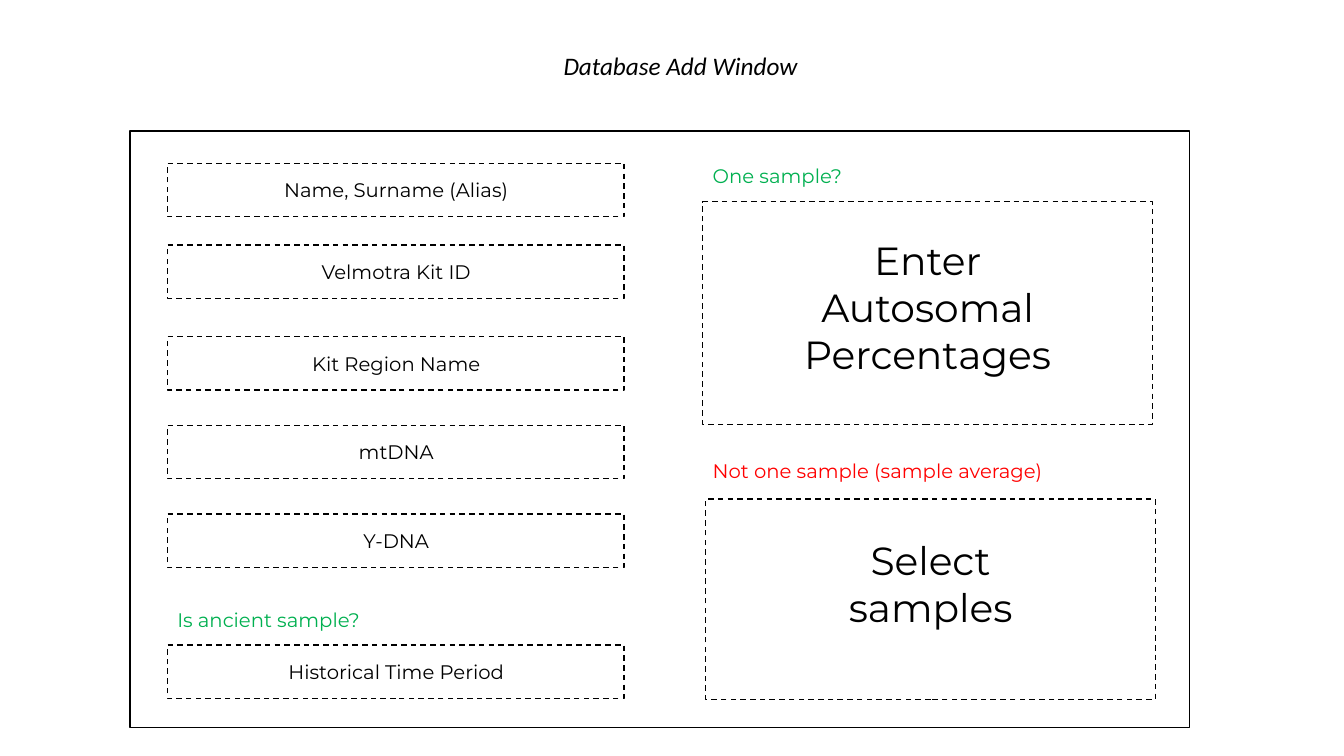
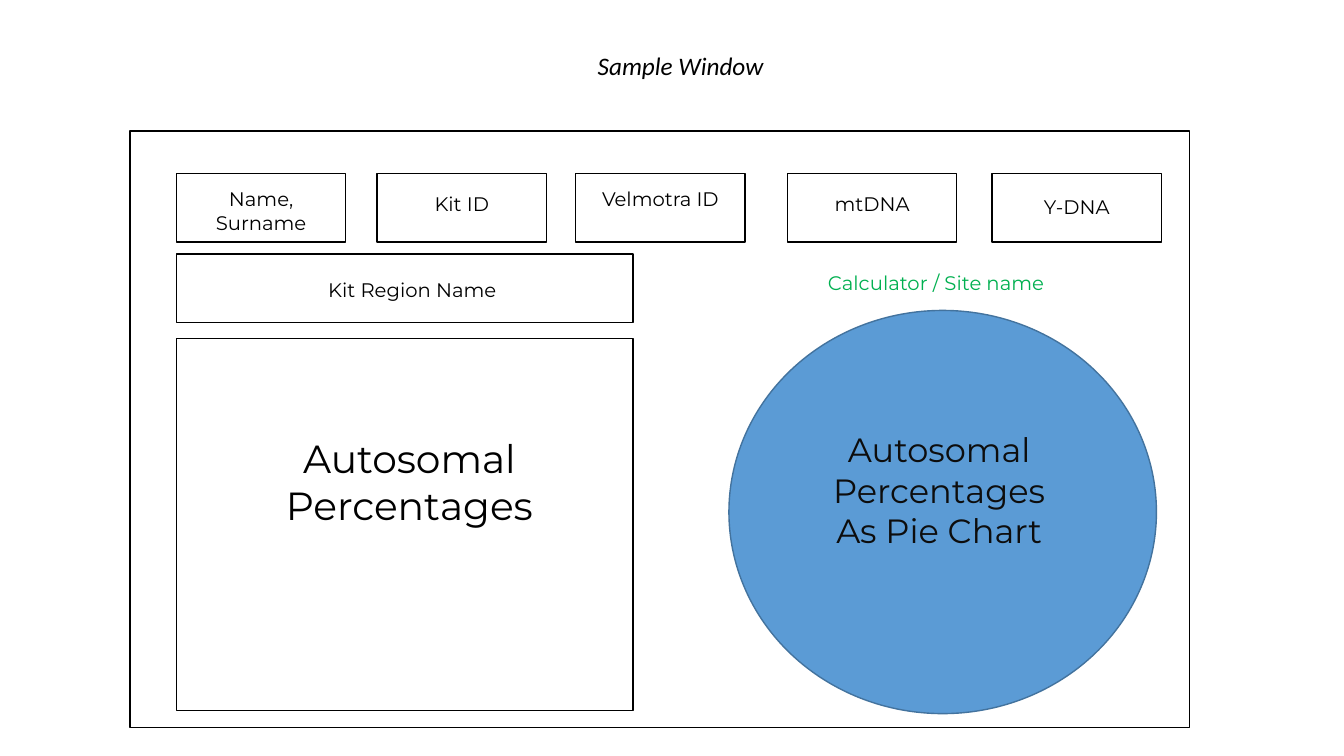
from pptx import Presentation, util as u
from pptx.dml.color import RGBColor
from pptx.enum import dml, shapes, text

BLACK = RGBColor(0x00, 0x00, 0x00)
WHITE = RGBColor(0xFF, 0xFF, 0xFF)
INK = RGBColor(0x0D, 0x0D, 0x0D)
GREEN = RGBColor(0x00, 0xB0, 0x50)
RED = RGBColor(0xFF, 0x00, 0x00)
BLUE = RGBColor(0x5B, 0x9B, 0xD5)
BLUE_EDGE = RGBColor(0x43, 0x73, 0x9E)

WIDTH, HEIGHT = 13.33, 7.5
LEFT, CENTER = text.PP_ALIGN.LEFT, text.PP_ALIGN.CENTER

# Text styles: font values and alignment
TITLE = dict(name="Calibri", size=u.Pt(18), italic=True), CENTER
LABEL = dict(name="Montserrat", size=u.Pt(14)), CENTER
PROMPT = dict(name="Montserrat", size=u.Pt(14)), LEFT
HEADING = dict(name="Montserrat", size=u.Pt(28)), CENTER
CHART_HEADING = dict(name="Montserrat", size=u.Pt(24)), CENTER

# Content of the add window: entry fields with their tops
ENTRY_LEFT, ENTRY_SIZE = 1.66, (4.53, 0.53)
ENTRIES = [
    ("Name, Surname (Alias)", 1.62),
    ("Velmotra Kit ID", 2.43),
    ("Kit Region Name", 3.34),
    ("mtDNA", 4.22),
    ("Y-DNA", 5.1),
    ("Historical Time Period", 6.4),
]
# Prompt, colour, left, top, width
PROMPTS = [
    ("Is ancient sample?", GREEN, ENTRY_LEFT, 5.98, 2.55),
    ("One sample?", GREEN, 6.97, 1.58, 2.55),
    ("Not one sample (sample average)", RED, 6.97, 4.5, 3.88),
]
# Heading, panel box, top and height of the heading
PANELS = [
    ("Enter Autosomal Percentages", (6.97, 2, 4.46, 2.21), 2.29, 1.51),
    ("Select samples", (7, 4.95, 4.46, 1.99), 5.27, 1.04),
]

# Content of the sample window: label, cell left, label top and height
CELL_TOP, CELL_SIZE = 1.72, (1.68, 0.68)
CELLS = [
    ("Name, Surname", 1.75, 1.81, 0.57),
    ("Kit ID", 3.74, 1.86, 0.34),
    ("Velmotra ID", 5.71, 1.81, 0.57),
    ("mtDNA", 7.81, 1.86, 0.34),
    ("Y-DNA", 9.84, 1.88, 0.34),
]
CELL_LABEL_WIDTH = 1.55
REGION = "Kit Region Name"
PERCENTAGES = "Autosomal Percentages"
PIE = ["Autosomal Percentages", "As Pie Chart"]
SITE = "Calculator / Site name "


def outline(slide, box, kind=shapes.MSO_SHAPE.RECTANGLE, fill=WHITE,
            edge=BLACK, dashed=False):
    frame = slide.shapes.add_shape(kind, *map(u.Inches, box))
    frame.shadow.inherit = False
    frame.fill.solid()
    frame.fill.fore_color.rgb = fill
    frame.line.color.rgb = edge
    frame.line.width = u.Pt(1)
    if dashed:
        frame.line.dash_style = dml.MSO_LINE.DASH


def write(slide, lines, box, style, color=BLACK):
    values, alignment = style
    body = slide.shapes.add_textbox(*map(u.Inches, box)).text_frame
    body.word_wrap = True
    body.auto_size = text.MSO_AUTO_SIZE.SHAPE_TO_FIT_TEXT
    for i, line in enumerate(lines):
        paragraph = body.add_paragraph() if i else body.paragraphs[0]
        paragraph.alignment = alignment
        run = paragraph.add_run()
        run.text = line
        for key, value in values.items():
            setattr(run.font, key, value)
        run.font.color.rgb = color


deck = Presentation()
deck.slide_width, deck.slide_height = u.Inches(WIDTH), u.Inches(HEIGHT)


def window(title):
    """A slide with its title above the window frame."""
    slide = deck.slides.add_slide(deck.slide_layouts[6])
    write(slide, [title], (4.44, 0.45, 4.62, 0.4), TITLE)
    outline(slide, (1.29, 1.3, 10.51, 5.92))
    return slide


# Database add window
add_window = window("Database Add Window")
for label, top in ENTRIES:
    outline(add_window, (ENTRY_LEFT, top, *ENTRY_SIZE), dashed=True)
    write(add_window, [label], (ENTRY_LEFT + 0.16, top + 0.1, 4.22, 0.34), LABEL)
for prompt, color, left, top, width in PROMPTS:
    write(add_window, [prompt], (left, top, width, 0.34), PROMPT, color)
for heading, panel, top, height in PANELS:
    outline(add_window, panel, dashed=True)
    heading_left = panel[0] + (panel[2] - 2.88) / 2
    write(add_window, [heading], (heading_left, top, 2.88, height), HEADING)

# Sample window: row of cells
sample_window = window("Sample Window")
for label, left, top, height in CELLS:
    outline(sample_window, (left, CELL_TOP, *CELL_SIZE))
    label_left = left + (CELL_SIZE[0] - CELL_LABEL_WIDTH) / 2
    write(sample_window, [label],
          (label_left, top, CELL_LABEL_WIDTH, height), LABEL)

# Sample window: region and percentages
outline(sample_window, (1.75, 2.52, 4.53, 0.68))
write(sample_window, [REGION], (1.98, 2.71, 4.22, 0.34), LABEL)
outline(sample_window, (1.75, 3.36, 4.53, 3.69))
write(sample_window, [PERCENTAGES], (2.62, 4.26, 2.88, 1.04), HEADING)

# Sample window: pie area
outline(sample_window, (7.23, 3.08, 4.24, 4), shapes.MSO_SHAPE.OVAL,
        BLUE, BLUE_EDGE)
write(sample_window, PIE, (7.88, 4.21, 2.87, 1.31), CHART_HEADING, INK)
write(sample_window, [SITE], (7.2, 2.64, 4.22, 0.34), LABEL, GREEN)

deck.save("out.pptx")
